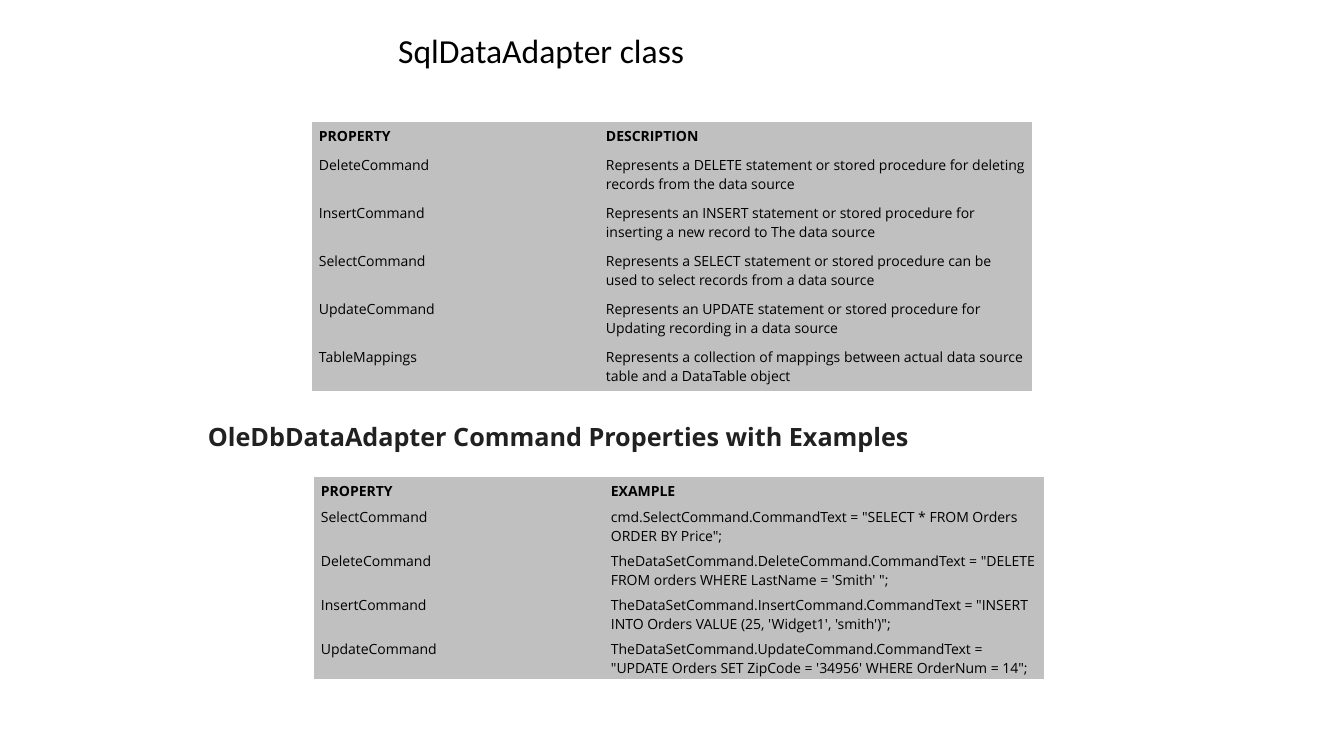
import pptx
import pptx.util
import pptx.dml.color
import pptx.enum.text
import pptx.oxml.ns

COLORS = {"title": "000000", "heading": "212121", "cell": "C0C0C0", "text": "000000"}
NO_GRID = "{2D5ABB26-0587-4C30-8999-92F81FD0307C}"
ALIGN = pptx.enum.text.PP_ALIGN
ANCHOR = pptx.enum.text.MSO_ANCHOR


def px(n):
    return round(n * 914400 / 100.8)


def rgb(name):
    return pptx.dml.color.RGBColor.from_string(COLORS[name])


class Deck:
    """Holds the slide and the style of its titles, headings and tables."""

    def __init__(self, s, title_font, body_font):
        self.s, self.title_font, self.body_font = s, title_font, body_font

    def fill_text(self, tf, text, font, size, color, bold=False, align=ALIGN.LEFT):
        tf.word_wrap = True
        tf.text = text
        p = tf.paragraphs[0]
        p.alignment = align
        p.font.name, p.font.size, p.font.bold = font, pptx.util.Pt(size), bold
        p.font.color.rgb = rgb(color)
        return p

    def title(self, text, x, y, w, h):
        sp = self.s.shapes.title
        sp.left, sp.top, sp.width, sp.height = map(px, (x, y, w, h))
        tf = sp.text_frame
        p = self.fill_text(tf, text, self.title_font, 24, "title")
        p.line_spacing = 0.9
        tf.auto_size = pptx.enum.text.MSO_AUTO_SIZE.NONE
        tf.vertical_anchor = ANCHOR.MIDDLE

    def heading(self, text, x, y, w, h):
        sp = self.s.shapes.add_textbox(*map(px, (x, y, w, h)))
        self.fill_text(sp.text_frame, text, self.body_font, 18, "heading", bold=True)

    def table(self, rows, x, y, widths, header_h, row_h, bottom, first_align=ALIGN.LEFT):
        heights = [header_h] + [row_h] * (len(rows) - 1)
        frame = self.s.shapes.add_table(len(rows), len(widths), px(x), px(y),
                                        px(sum(widths)), px(sum(heights)))
        table = frame.table
        table.first_row = table.horz_banding = False
        table._tbl.tblPr.find(pptx.oxml.ns.qn("a:tableStyleId")).text = NO_GRID
        for column, w in zip(table.columns, widths):
            column.width = px(w)
        for i, (row, h) in enumerate(zip(rows, heights)):
            table.rows[i].height = px(h)
            for j, text in enumerate(row):
                cell = table.cell(i, j)
                cell.fill.solid()
                cell.fill.fore_color.rgb = rgb("cell")
                cell.margin_left = cell.margin_right = px(7)
                cell.margin_top, cell.margin_bottom = px(5), px(bottom)
                self.fill_text(cell.text_frame, text, self.body_font, 10, "text",
                               bold=i == 0, align=ALIGN.LEFT if j else first_align)


PROPERTIES = [
    ("PROPERTY", "DESCRIPTION"),
    ("DeleteCommand", "Represents a DELETE statement or stored procedure for deleting "
                      "records from the data source"),
    ("InsertCommand", "Represents an INSERT statement or stored procedure for "
                      "inserting a new record to The data source"),
    ("SelectCommand", "Represents a SELECT statement or stored procedure can be "
                      "used to select records from a data source"),
    ("UpdateCommand", "Represents an UPDATE statement or stored procedure for "
                      "Updating recording in a data source"),
    ("TableMappings", "Represents a collection of mappings between actual data source "
                      "table and a DataTable object"),
]
EXAMPLES = [
    ("PROPERTY", "EXAMPLE"),
    ("SelectCommand", 'cmd.SelectCommand.CommandText = "SELECT * FROM Orders '
                      'ORDER BY Price";'),
    ("DeleteCommand", 'TheDataSetCommand.DeleteCommand.CommandText = "DELETE '
                      'FROM orders WHERE LastName = \'Smith\' ";'),
    ("InsertCommand", 'TheDataSetCommand.InsertCommand.CommandText = "INSERT '
                      'INTO Orders VALUE (25, \'Widget1\', \'smith\')";'),
    ("UpdateCommand", 'TheDataSetCommand.UpdateCommand.CommandText = '
                      '"UPDATE Orders SET ZipCode = \'34956\' WHERE OrderNum = 14";'),
]

prs = pptx.Presentation()
prs.slide_width, prs.slide_height = px(1344), px(756)
deck = Deck(prs.slides.add_slide(prs.slide_layouts[5]), "Calibri", "Open Sans")
deck.title("SqlDataAdapter class", 388, 27, 439, 52)
deck.table(PROPERTIES, 312, 122, (287, 433), 29, 48, bottom=5)
deck.heading("OleDbDataAdapter Command Properties with Examples", 198, 416, 931, 40)
deck.table(EXAMPLES, 314, 477, (290, 440), 26, 44, bottom=0, first_align=ALIGN.JUSTIFY)
prs.save("out.pptx")
